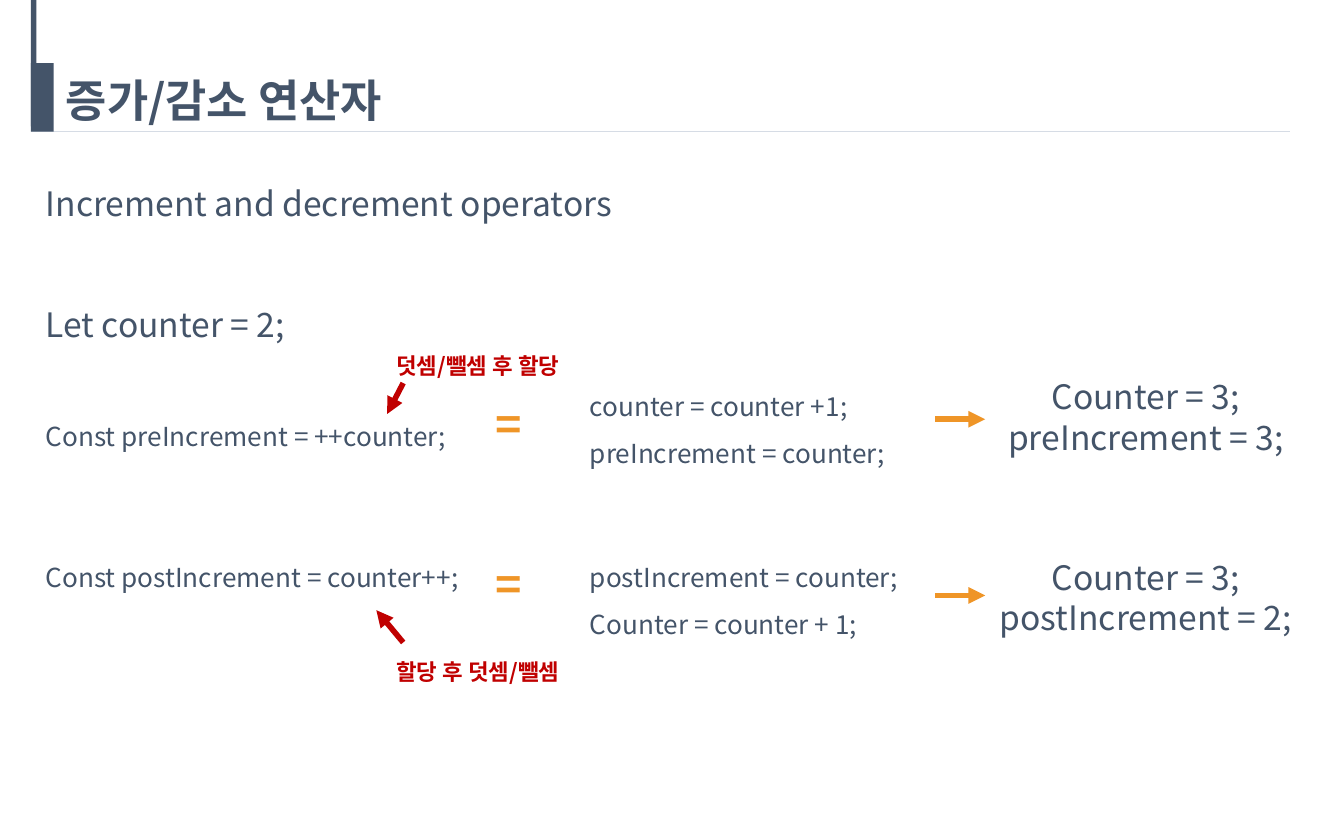
from lxml import etree
from pptx import Presentation
from pptx.dml.color import RGBColor
from pptx.enum.shapes import MSO_CONNECTOR, MSO_SHAPE
from pptx.enum.text import MSO_ANCHOR, MSO_AUTO_SIZE, PP_ALIGN
from pptx.oxml.ns import qn
from pptx.util import Pt

LEFT, MID = PP_ALIGN.LEFT, PP_ALIGN.CENTER
TOP, CENTER = MSO_ANCHOR.TOP, MSO_ANCHOR.MIDDLE
FIXED = MSO_AUTO_SIZE.NONE
RECT, LINE = MSO_SHAPE.RECTANGLE, MSO_CONNECTOR.STRAIGHT
FONT = "Noto Sans CJK KR"
HEX = {"navy": "445469", "rule": "D6DCE5", "gold": "EF9527", "red": "C00000"}


def tint(name):
    return RGBColor.from_string(HEX[name])


class Page:
    """Holds the style and the current slide; lengths are in points."""

    def __init__(self, slide):
        self.slide = slide
        self.shapes = slide.shapes

    def place(self, shape, box):
        shape.left, shape.top, shape.width, shape.height = map(Pt, box)

    def fill(self, shape, lines, size, color="navy", bold=False,
             align=LEFT, space=1.0, anchor=TOP, wrap=True):
        """Each line is a text, or (text, size, gap before)."""
        frame = shape.text_frame
        lines = [(line, size, 0) if isinstance(line, str) else line
                 for line in lines]
        frame.text = "\n".join(line[0] for line in lines)
        frame.word_wrap = wrap
        frame.auto_size = FIXED
        frame.vertical_anchor = anchor
        for para, (_, points, gap) in zip(frame.paragraphs, lines):
            para.alignment = align
            para.line_spacing = space
            para.space_before, para.space_after = Pt(gap), Pt(0)
            for run in para.runs:
                font = run.font
                font.size, font.bold, font.name = Pt(points), bold, FONT
                font.color.rgb = tint(color)
                east = etree.SubElement(run._r.get_or_add_rPr(), qn("a:ea"))
                east.set("typeface", FONT)

    def title(self, box, text, size):
        shape = self.shapes.title
        self.place(shape, box)
        self.fill(shape, [text], size, bold=True, space=0.9, anchor=CENTER)

    def body(self, box, lines, size):
        shape = self.slide.placeholders[1]
        self.place(shape, box)
        self.fill(shape, lines, size, space=1.5)
        for para in shape.text_frame.paragraphs:
            props = para._p.get_or_add_pPr()
            props.set("marL", "0")
            props.set("indent", "0")
            etree.SubElement(props, qn("a:buNone"))

    def text(self, box, lines, size, **style):
        self.fill(self.shapes.add_textbox(*map(Pt, box)), lines, size, **style)

    def block(self, box, color):
        shape = self.shapes.add_shape(RECT, *map(Pt, box))
        shape.shadow.inherit = False
        shape.fill.solid()
        shape.fill.fore_color.rgb = tint(color)
        shape.line.fill.background()

    def line(self, ends, color, width, arrow=False):
        link = self.shapes.add_connector(LINE, *map(Pt, ends))
        link.line.color.rgb = tint(color)
        link.line.width = Pt(width)
        props = link._element.spPr
        if arrow:
            tail = etree.SubElement(props.get_or_add_ln(), qn("a:tailEnd"))
            tail.set("type", "triangle")
        etree.SubElement(props, qn("a:effectLst"))


def main():
    deck = Presentation()
    deck.slide_width, deck.slide_height = Pt(720), Pt(450)
    page = Page(deck.slides.add_slide(deck.slide_layouts[1]))

    # Heading with its rule and side bars
    page.line((16.6, 70.6, 691.2, 70.6), "rule", 0.5)
    page.block((16.6, 0, 2.9, 67.7), "navy")
    page.block((16.6, 33.8, 12.2, 36.8), "navy")
    page.title((28.1, 26.6, 663.8, 56.9), "증가/감소 연산자", 24)

    # Statements
    page.body((17.3, 83.5, 663.8, 268.6), [
        "Increment and decrement operators",
        ("Let counter = 2;", 18, 32.4),
        ("Const preIncrement = ++counter;", 14, 32.4),
        ("Const postIncrement = counter++;", 14, 50.4),
    ], 18)

    # Equal steps
    steps = [
        (197.3, ["counter = counter +1;", "preIncrement = counter;"]),
        (288.7, ["postIncrement = counter;", "Counter = counter + 1;"]),
    ]
    for top, lines in steps:
        page.text((308.9, top, 360, 54.7), lines, 14, space=1.5)
    page.text((258.5, 208.8, 31.7, 123.8), ["=", ("=", 24, 57.2)], 24,
              color="gold", bold=True, wrap=False)

    # Results
    page.text((527.8, 198, 172.1, 149), [
        "Counter = 3;", "preIncrement = 3;",
        ("Counter = 3;", 18, 53.5), "postIncrement = 2;",
    ], 18, align=MID, wrap=False)
    for y in (224.6, 319):
        page.line((501.1, y, 527.8, y), "gold", 3, arrow=True)

    # Red notes with their arrows
    notes = [
        (185, "덧셈/뺄셈 후 할당", (216, 205.2, 207.4, 221.8)),
        (349.2, "할당 후 덧셈/뺄셈", (216, 344.2, 201.6, 326.9)),
    ]
    for top, note, ends in notes:
        page.text((205.2, top, 113, 21.6), [note], 12,
                  color="red", bold=True, wrap=False)
        page.line(ends, "red", 3, arrow=True)

    deck.save("out.pptx")


if __name__ == "__main__":
    main()
